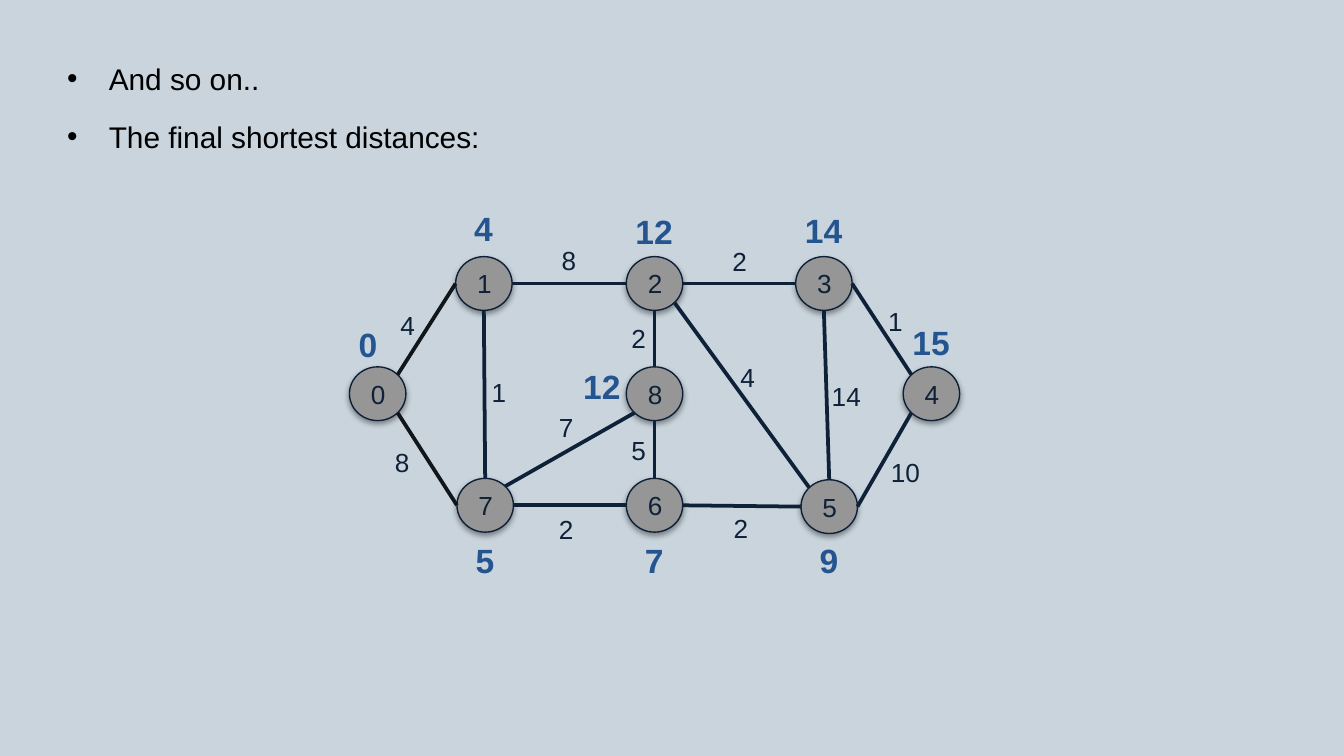
from math import cos, radians, sin

from lxml import etree
from pptx import Presentation
from pptx.dml.color import RGBColor
from pptx.enum.shapes import MSO_CONNECTOR, MSO_SHAPE
from pptx.enum.text import MSO_ANCHOR, MSO_AUTO_SIZE, PP_ALIGN
from pptx.oxml import parse_xml
from pptx.oxml.ns import qn
from pptx.util import Inches, Pt

OVAL = MSO_SHAPE.OVAL
STRAIGHT = MSO_CONNECTOR.STRAIGHT
TOP, MIDDLE = MSO_ANCHOR.TOP, MSO_ANCHOR.MIDDLE
CENTER, LEFT = PP_ALIGN.CENTER, PP_ALIGN.LEFT
GROW = MSO_AUTO_SIZE.SHAPE_TO_FIT_TEXT
SPACE = "http://schemas.openxmlformats.org/drawingml/2006/main"
SHADOW = (
    f'<a:outerShdw xmlns:a="{SPACE}" blurRad="{Pt(3.1)}" dist="{Pt(1.6)}" '
    'dir="5400000" rotWithShape="0"><a:srgbClr val="000000">'
    '<a:alpha val="38000"/></a:srgbClr></a:outerShdw>'
)
BULLET = (
    f'<a:buClr xmlns:a="{SPACE}"><a:srgbClr val="000000"/></a:buClr>',
    f'<a:buFont xmlns:a="{SPACE}" typeface="Arial"/>',
    f'<a:buChar xmlns:a="{SPACE}" char="•"/>',
)
NAVY, BLUE, BLACK = "0E2138", "245590", "000000"
WIDE, HIGH = 0.42, 0.40
ANGLES = {"E": 0, "SE": 45, "S": 90, "SW": 135, "W": 180, "NW": 225, "N": 270, "NE": 315}


def color(code):
    return RGBColor.from_string(code)


def write(para, text, size=14, code=NAVY, bold=False, align=LEFT):
    para.alignment = align
    run = para.add_run()
    run.text = text
    font = run.font
    font.name, font.size, font.bold = "Arial", Pt(size), bold
    font.color.rgb = color(code)


class Graph:
    def __init__(self, slide):
        self.slide = slide
        self.shapes = slide.shapes
        self.spots = {}

    def fill(self, code):
        back = self.slide.background.fill
        back.solid()
        back.fore_color.rgb = color(code)

    def bullets(self, items, left, top, width, height):
        body = self.slide.placeholders[1]
        body.left, body.top = Inches(left), Inches(top)
        body.width, body.height = Inches(width), Inches(height)
        frame = body.text_frame
        frame.word_wrap = False
        frame.auto_size = GROW
        frame.vertical_anchor = TOP
        for i, item in enumerate(items):
            para = frame.add_paragraph() if i else frame.paragraphs[0]
            props = para._p.get_or_add_pPr()
            props.set("marL", str(Inches(0.31)))
            props.set("indent", str(-Inches(0.31)))
            for part in BULLET:
                props.append(parse_xml(part))
            para.space_before, para.space_after = Pt(0), Pt(12)
            para.line_spacing = 1.0
            write(para, item, size=16, code=BLACK)

    def node(self, name, left, top):
        self.spots[name] = left + WIDE / 2, top + HIGH / 2
        oval = self.shapes.add_shape(OVAL, Inches(left), Inches(top), Inches(WIDE), Inches(HIGH))
        oval.fill.solid()
        oval.fill.fore_color.rgb = color("969696")
        oval.line.color.rgb = color("0D2038")
        oval.line.width = Pt(0.75)
        oval.shadow.inherit = False
        oval._element.spPr.find(qn("a:effectLst")).append(parse_xml(SHADOW))
        frame = oval.text_frame
        frame.vertical_anchor = MIDDLE
        write(frame.paragraphs[0], name, align=CENTER)

    def port(self, name, side):
        x, y = self.spots[name]
        turn = radians(ANGLES[side])
        return Inches(x + WIDE / 2 * cos(turn)), Inches(y + HIGH / 2 * sin(turn))

    def edge(self, start, out, end, into, code=NAVY):
        line = self.shapes.add_connector(STRAIGHT, *self.port(start, out), *self.port(end, into))
        line.line.color.rgb = color(code)
        line.line.width = Pt(2)
        etree.SubElement(line._element.spPr, qn("a:effectLst"))

    def label(self, text, left, top, width, height, **style):
        box = self.shapes.add_textbox(Inches(left), Inches(top), Inches(width), Inches(height))
        frame = box.text_frame
        frame.word_wrap = False
        frame.auto_size = GROW
        write(frame.paragraphs[0], text, **style)

    def weight(self, text, left, top):
        self.label(text, left, top, 0.2 + 0.11 * len(text), 0.34)

    def total(self, text, left, top):
        self.label(text, left, top, 0.2 + 0.14 * len(text), 0.4, size=18, code=BLUE, bold=True)


NODES = [
    ("0", 2.6, 2.73), ("1", 3.39, 1.91), ("7", 3.4, 3.56),
    ("8", 4.66, 2.73), ("2", 4.66, 1.91), ("4", 6.72, 2.73),
    ("6", 4.66, 3.56), ("3", 5.92, 1.91), ("5", 5.96, 3.57),
]
EDGES = [
    ("0", "NE", "1", "W", "11161A"), ("0", "SE", "7", "W", "11161A"),
    ("6", "W", "7", "E"), ("2", "W", "1", "E"),
    ("6", "E", "5", "W"), ("2", "E", "3", "W"),
    ("3", "E", "4", "NW"), ("5", "E", "4", "SW"),
    ("2", "S", "8", "N"), ("8", "S", "6", "N"),
    ("1", "S", "7", "N"), ("8", "SW", "7", "NE"),
    ("2", "SE", "5", "NW"), ("3", "S", "5", "N"),
]
WEIGHTS = [
    ("5", 4.6, 3.18), ("4", 2.88, 2.25), ("8", 2.84, 3.27),
    ("1", 3.56, 2.75), ("8", 4.08, 1.77), ("7", 4.06, 3.01),
    ("2", 4.06, 3.77), ("2", 4.6, 2.35), ("2", 5.35, 1.78),
    ("4", 5.41, 2.64), ("2", 5.36, 3.76), ("14", 6.09, 2.78),
    ("1", 6.51, 2.22), ("10", 6.53, 3.35),
]
TOTALS = [
    ("12", 4.63, 1.52), ("14", 5.89, 1.51), ("4", 3.43, 1.5),
    ("0", 2.57, 2.36), ("15", 6.69, 2.35), ("5", 3.44, 3.97),
    ("7", 4.7, 3.97), ("9", 6, 3.97), ("12", 4.24, 2.67),
]


def main():
    deck = Presentation()
    deck.slide_width = Inches(10)
    deck.slide_height = deck.slide_width * 9 // 16
    slide = deck.slides.add_slide(deck.slide_layouts[1])
    title = slide.shapes.title._element
    title.getparent().remove(title)
    graph = Graph(slide)
    graph.fill("C9D4DC")
    graph.bullets(["And so on..", "The final shortest distances:"], 0.4, 0.4, 3.31, 0.81)
    for draw, rows in (
        (graph.node, NODES),
        (graph.edge, EDGES),
        (graph.weight, WEIGHTS),
        (graph.total, TOTALS),
    ):
        for row in rows:
            draw(*row)
    deck.save("out.pptx")


if __name__ == "__main__":
    main()
